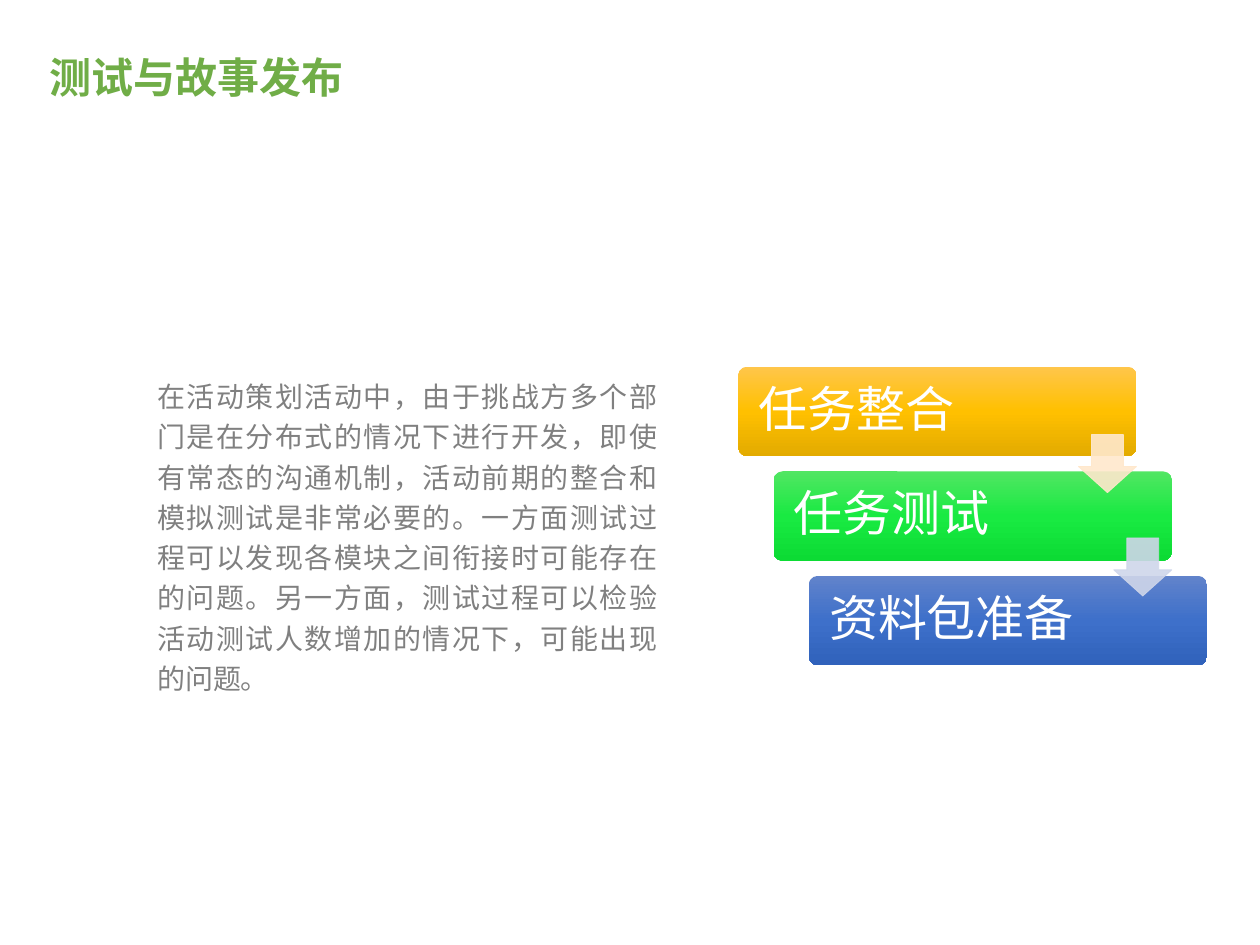
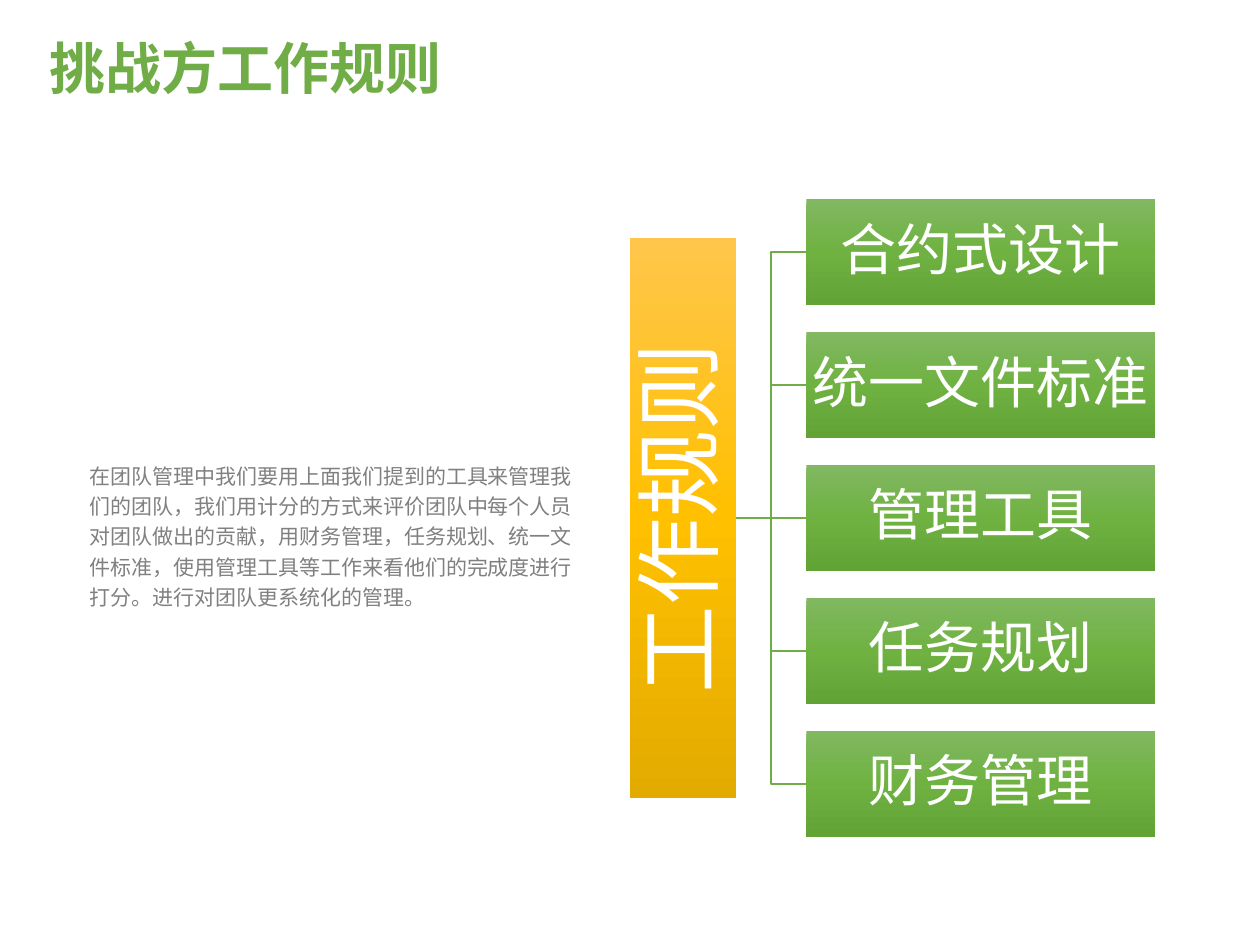
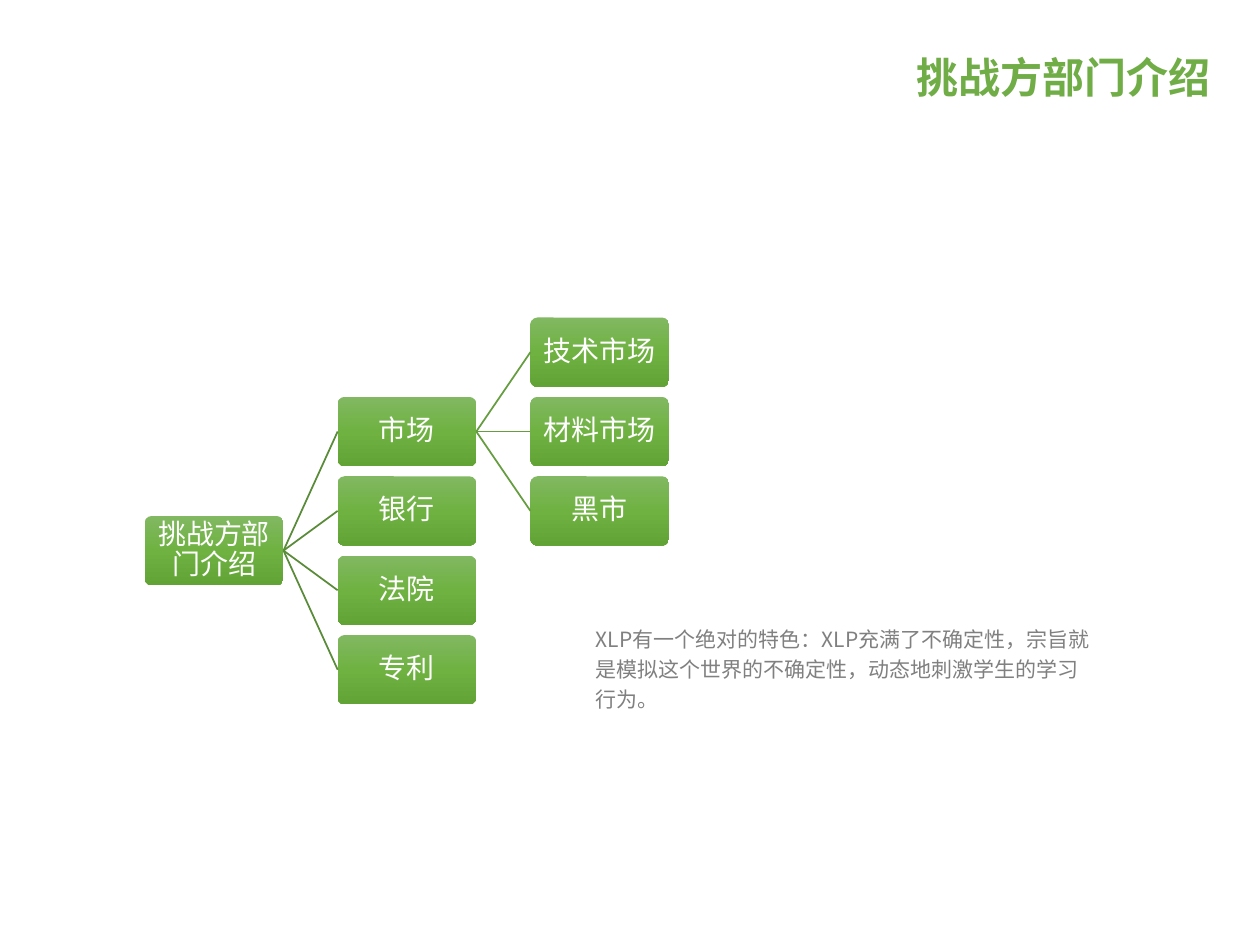
"""Builds three slides on testing, work rules and departments of the challenge team."""
from copy import deepcopy

from lxml import etree
from pptx import Presentation
from pptx import util as u
from pptx.dml.color import RGBColor
from pptx.enum import shapes, text
from pptx.oxml.ns import qn

COLORS = {
    "title": "70AD47", "body": "808080", "label": "FFFFFF", "rule_line": "70AD47",
    "department_line": "5A8B39", "market_line": "669D40",
    "peach": "FFE8CC", "mist": "CFD6EA",
}
GRADIENTS = {
    "amber": ("FFC64B", "FFC000", "E3AB00"),
    "lime": ("51E663", "19EA42", "0CDB34"),
    "blue": ("6183CB", "3E70CA", "3062BB"),
    "green": ("81B861", "6FB242", "62A336"),
}
CJK_FONT = "Noto Sans CJK SC"
RECT = shapes.MSO_SHAPE.RECTANGLE
ROUNDED = shapes.MSO_SHAPE.ROUNDED_RECTANGLE
ALIGN = text.PP_ALIGN
ANCHOR = text.MSO_ANCHOR


def rgb(name):
    return RGBColor.from_string(COLORS[name])


class Deck:
    """Holds the presentation, its style and the current slide."""

    def __init__(self):
        self.prs = Presentation()
        self.prs.slide_width = u.Inches(10)
        self.prs.slide_height = u.Inches(7.5)
        self.slide = None

    def set_text(self, frame, words, size, font, color, align, spacing, margins, anchor, bold=False):
        frame.word_wrap = True
        frame.auto_size = text.MSO_AUTO_SIZE.NONE
        frame.vertical_anchor = anchor
        frame.margin_left, frame.margin_top, frame.margin_right, frame.margin_bottom = map(u.Inches, margins)
        frame.text = words
        paragraph = frame.paragraphs[0]
        paragraph.alignment = align
        paragraph.line_spacing = spacing
        paragraph.font.name = font
        paragraph.font.size = u.Pt(size)
        paragraph.font.bold = bold
        paragraph.font.color.rgb = rgb(color)
        defaults = paragraph._p.pPr.find(qn("a:defRPr"))
        east_asian = etree.Element(qn("a:ea"), typeface=CJK_FONT)
        defaults.find(qn("a:latin")).addnext(east_asian)

    def new_slide(self, words, size=24, align=ALIGN.LEFT):
        self.slide = self.prs.slides.add_slide(self.prs.slide_layouts[5])
        title = self.slide.shapes.title
        title.left, title.top, title.width, title.height = map(u.Inches, (0, 0.24, 10, 0.62))
        self.set_text(title.text_frame, words, size, "Montserrat", "title", align, 0.9,
                      (0.39, 0.05, 0.39, 0.05), ANCHOR.BOTTOM, bold=True)

    def body(self, words, left, top, height, size=12, align=ALIGN.LEFT, margin_left=0.14):
        box = self.slide.shapes.add_textbox(*map(u.Inches, (left, top, 4.17, height)))
        self.set_text(box.text_frame, words, size, CJK_FONT, "body", align, 1.2,
                      (margin_left, 0.05, 0.1, 0.05), ANCHOR.TOP)

    def shape(self, kind, left, top, width, height):
        shape = self.slide.shapes.add_shape(kind, *map(u.Inches, (left, top, width, height)))
        shape.shadow.inherit = False
        return shape

    def block(self, kind, words, left, top, width, height, gradient, size,
              align=ALIGN.CENTER, margin=0.02, upward=False):
        block = self.shape(kind, left, top, width, height)
        if kind == ROUNDED:
            block.adjustments[0] = 0.1
        block.line.fill.background()
        self.shade(block, GRADIENTS[gradient])
        self.set_text(block.text_frame, words, size, "Arial", "label", align, 0.9,
                      (margin,) * 4, ANCHOR.MIDDLE)
        if upward:
            block.text_frame._txBody.bodyPr.set("vert", "vert270")
        return block

    def shade(self, block, tones):
        block.fill.gradient()
        block.fill.gradient_angle = 270
        stop_list = block._element.spPr.find(qn("a:gradFill")).find(qn("a:gsLst"))
        stop_list.insert(1, deepcopy(stop_list[0]))
        for stop, tone, position in zip(block.fill.gradient_stops, tones, (0, 0.5, 1)):
            stop.color.rgb = RGBColor.from_string(tone)
            stop.position = position

    def down_arrow(self, left, top, color):
        arrow = self.shape(shapes.MSO_SHAPE.DOWN_ARROW, left, top, 0.46, 0.46)
        arrow.adjustments[0], arrow.adjustments[1] = 0.55, 0.45
        arrow.fill.solid()
        arrow.fill.fore_color.rgb = rgb(color)
        arrow.line.color.rgb = rgb(color)
        arrow.line.width = u.Pt(0.5)
        for tint in arrow._element.spPr.iter(qn("a:srgbClr")):
            etree.SubElement(tint, qn("a:alpha"), val="90000")

    def link(self, parent, child, color, kind=shapes.MSO_CONNECTOR.STRAIGHT):
        line = self.slide.shapes.add_connector(kind, 0, 0, 0, 0)
        line.begin_connect(parent, 3)
        line.end_connect(child, 1)
        line.line.color.rgb = rgb(color)
        line.line.width = u.Pt(1)
        etree.SubElement(line._element.spPr, qn("a:effectLst"))


def testing_slide(deck):
    deck.new_slide("测试与故事发布")
    deck.body("在活动策划活动中，由于挑战方多个部门是在分布式的情况下进行开发，即使有常态的沟通机制，"
              "活动前期的整合和模拟测试是非常必要的。一方面测试过程可以发现各模块之间衔接时可能存在的问题。"
              "另一方面，测试过程可以检验活动测试人数增加的情况下，可能出现的问题。",
              1.15, 2.91, 3.84, size=16, align=ALIGN.JUSTIFY, margin_left=0.1)
    steps = (("任务整合", "amber"), ("任务测试", "lime"), ("资料包准备", "blue"))
    for i, (step, gradient) in enumerate(steps):
        deck.block(ROUNDED, step, 5.86 + 0.28 * i, 2.91 + 0.83 * i, 3.16, 0.71,
                   gradient, 28, ALIGN.LEFT, 0.14)
    for i, color in enumerate(("peach", "mist")):
        deck.down_arrow(8.56 + 0.28 * i, 3.45 + 0.82 * i, color)


def rules_slide(deck):
    deck.new_slide("挑战方工作规则", size=32)
    heading = deck.block(RECT, "工作规则", 5, 1.89, 0.84, 4.44, "amber", 50, upward=True)
    rules = ("合约式设计", "统一文件标准", "管理工具", "任务规划", "财务管理")
    middle = len(rules) // 2
    pitch = 4.22 / (len(rules) - 1)
    for i, rule in enumerate(rules):
        rule_box = deck.block(RECT, rule, 6.4, 3.69 + pitch * (i - middle), 2.77, 0.84, "green", 32)
        kind = shapes.MSO_CONNECTOR.STRAIGHT if i == middle else shapes.MSO_CONNECTOR.ELBOW
        deck.link(heading, rule_box, "rule_line", kind)
    deck.body("在团队管理中我们要用上面我们提到的工具来管理我们的团队，我们用计分的方式来评价团队中每个人员"
              "对团队做出的贡献，用财务管理，任务规划、统一文件标准，使用管理工具等工作来看他们的完成度进行打分。"
              "进行对团队更系统化的管理。", 0.57, 3.59, 3.56)


def departments_slide(deck):
    deck.new_slide("挑战方部门介绍", align=ALIGN.RIGHT)

    def node(words, column, row):
        return deck.block(ROUNDED, words, 1.15 + 1.53 * column, 2.52 + 0.63 * row,
                          1.1, 0.55, "green", 16, margin=0.03)

    root = node("挑战方部门介绍", 0, 2.5)
    departments = [node(name, 1, row) for row, name in enumerate(("市场", "银行", "法院", "专利"), 1)]
    markets = [node(name, 2, row) for row, name in enumerate(("技术市场", "材料市场", "黑市"))]
    for department in departments:
        deck.link(root, department, "department_line")
    for market in markets:
        deck.link(departments[0], market, "market_line")
    deck.body("XLP有一个绝对的特色：XLP充满了不确定性，宗旨就是模拟这个世界的不确定性，动态地刺激学生的学习行为。",
              4.59, 4.88, 1.39)


def main():
    deck = Deck()
    testing_slide(deck)
    rules_slide(deck)
    departments_slide(deck)
    deck.prs.save("out.pptx")


if __name__ == "__main__":
    main()
